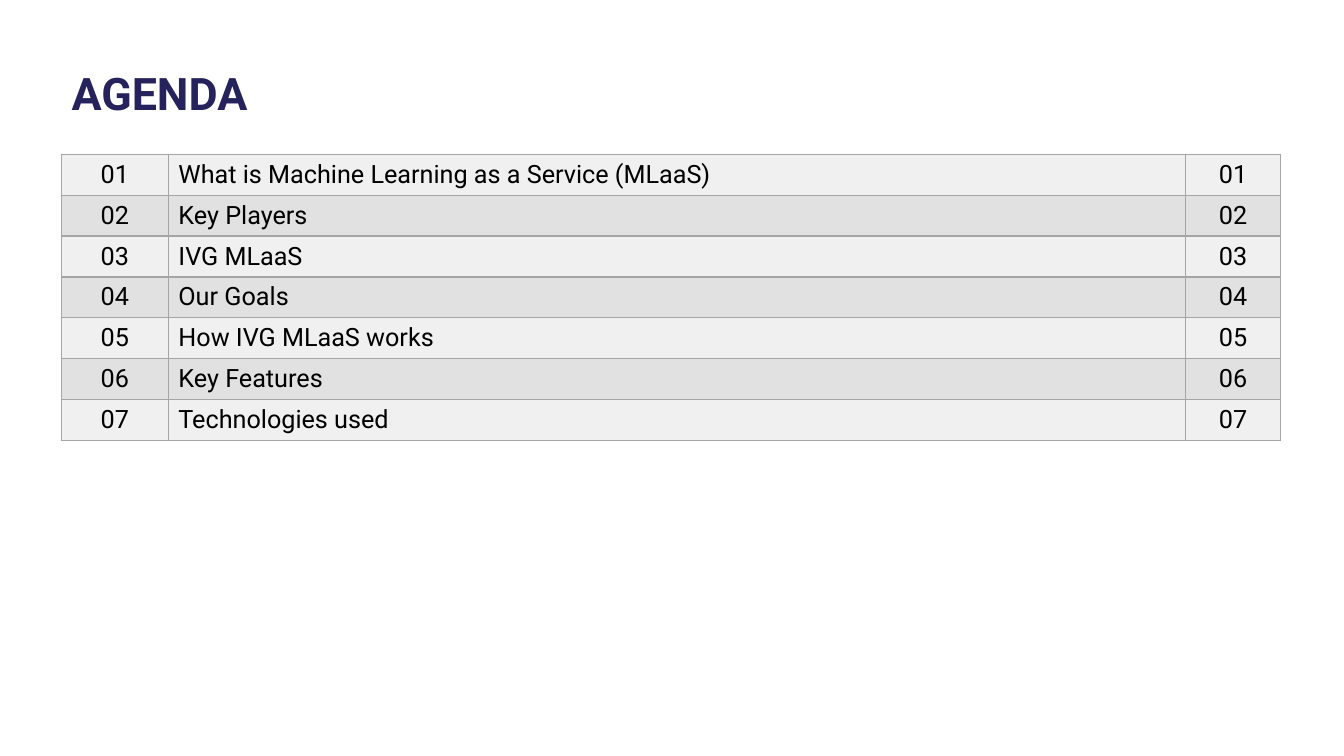
from lxml.etree import SubElement
from pptx import Presentation
from pptx.dml.color import RGBColor
from pptx.enum.text import MSO_ANCHOR, MSO_AUTO_SIZE, PP_ALIGN
from pptx.oxml.ns import qn
from pptx.util import Inches, Pt

FONT = "Roboto"
NAVY = RGBColor(0x26, 0x22, 0x5B)
BLACK = RGBColor(0x00, 0x00, 0x00)
BORDER_GRAY = RGBColor(0xA5, 0xA5, 0xA5)
ROW_FILLS = (RGBColor(0xF0, 0xF0, 0xF0), RGBColor(0xE1, 0xE1, 0xE1))

# Grid, in inches
LEFT = 0.61
TITLE_TOP, TITLE_WIDTH, TITLE_HEIGHT = 0.6, 2.08, 0.64
TABLE_TOP, ROW_HEIGHT = 1.53, 0.406
COLUMN_WIDTHS = (1.06, 10.09, 0.94)

TOPICS = (
    "What is Machine Learning as a Service (MLaaS)",
    "Key Players",
    "IVG MLaaS",
    "Our Goals",
    "How IVG MLaaS works",
    "Key Features",
    "Technologies used",
)


def format_text(text_frame, size, color, alignment, bold=False):
    for paragraph in text_frame.paragraphs:
        paragraph.alignment = alignment
        for run in paragraph.runs:
            run.font.name = FONT
            run.font.size = Pt(size)
            run.font.bold = bold
            run.font.color.rgb = color


def add_title(slide, text):
    title = slide.shapes.title
    title.left, title.top = Inches(LEFT), Inches(TITLE_TOP)
    title.width, title.height = Inches(TITLE_WIDTH), Inches(TITLE_HEIGHT)
    text_frame = title.text_frame
    text_frame.text = text
    text_frame.word_wrap = False
    text_frame.auto_size = MSO_AUTO_SIZE.SHAPE_TO_FIT_TEXT
    text_frame.vertical_anchor = MSO_ANCHOR.TOP
    format_text(text_frame, 32, NAVY, PP_ALIGN.LEFT, bold=True)


def add_borders(cell):
    properties = cell._tc.get_or_add_tcPr()
    for side in ("a:lnL", "a:lnR", "a:lnT", "a:lnB"):
        line = SubElement(properties, qn(side), w=str(Pt(1)))
        fill = SubElement(line, qn("a:solidFill"))
        SubElement(fill, qn("a:srgbClr"), val=str(BORDER_GRAY))


def fill_cell(cell, text, fill_color, alignment):
    cell.text_frame.text = text
    cell.vertical_anchor = MSO_ANCHOR.MIDDLE
    format_text(cell.text_frame, 18, BLACK, alignment)
    add_borders(cell)
    cell.fill.solid()
    cell.fill.fore_color.rgb = fill_color


def add_agenda_table(slide, topics):
    frame = slide.shapes.add_table(
        len(topics), len(COLUMN_WIDTHS), Inches(LEFT), Inches(TABLE_TOP),
        Inches(sum(COLUMN_WIDTHS)), Inches(ROW_HEIGHT * len(topics)))
    table = frame.table
    table.first_row = False
    table.horz_banding = False
    for column, width in zip(table.columns, COLUMN_WIDTHS):
        column.width = Inches(width)

    # Each topic stands between its number and its page
    for index, topic in enumerate(topics):
        table.rows[index].height = Inches(ROW_HEIGHT)
        number = f"{index + 1:02d}"
        fill_color = ROW_FILLS[index % 2]
        for column, text in enumerate((number, topic, number)):
            alignment = PP_ALIGN.LEFT if column == 1 else PP_ALIGN.CENTER
            fill_cell(table.cell(index, column), text, fill_color, alignment)


def main():
    presentation = Presentation()
    presentation.slide_width = Inches(13.33)
    presentation.slide_height = Inches(7.5)
    title_only = presentation.slide_layouts.get_by_name("Title Only")
    slide = presentation.slides.add_slide(title_only)
    add_title(slide, "AGENDA")
    add_agenda_table(slide, TOPICS)
    presentation.save("out.pptx")


if __name__ == "__main__":
    main()
